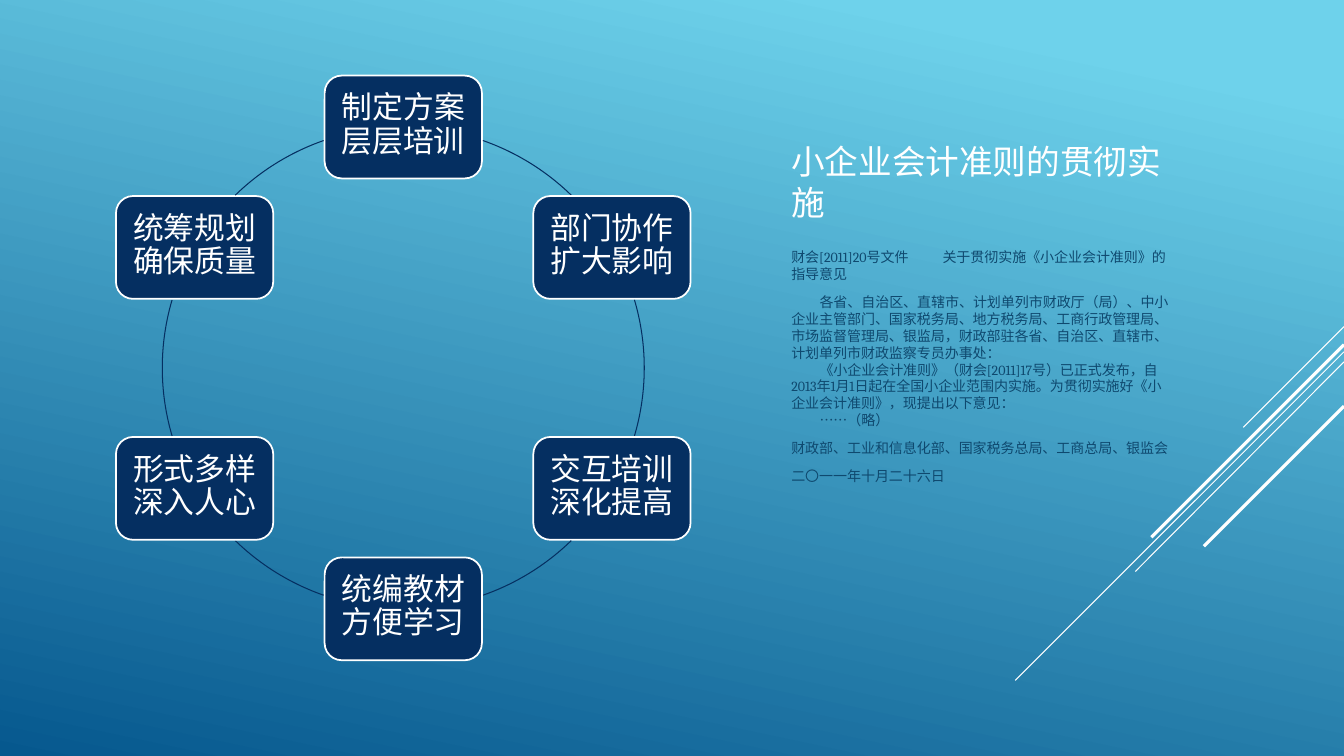
from math import cos, radians, sin

from lxml import etree
from pptx import Presentation
from pptx.dml.color import RGBColor
from pptx.enum.lang import MSO_LANGUAGE_ID
from pptx.enum.shapes import MSO_CONNECTOR, MSO_SHAPE
from pptx.enum.text import MSO_ANCHOR, PP_ALIGN
from pptx.oxml.ns import qn
from pptx.util import Inches, Pt


class Theme:
    white = RGBColor.from_string("FFFFFF")
    navy = RGBColor.from_string("052F61")
    body_blue = RGBColor.from_string("0F496F")
    sky = RGBColor.from_string("6ED2EB")
    deep = RGBColor.from_string("06588E")
    title = {"name": "Calibri", "size": Pt(24)}
    step = {"name": "League Spartan", "size": Pt(22)}
    body = {"name": "Cambria", "size": Pt(10)}


def write(para, text, style, color, **layout):
    for name, value in layout.items():
        setattr(para, name, value)
    span = para.add_run()
    span.text = text
    for name, value in style.items():
        setattr(span.font, name, value)
    span.font.language_id = MSO_LANGUAGE_ID.SIMPLIFIED_CHINESE
    span.font.color.rgb = color


def add_text_frame(left, top, width, height, anchor):
    frame = page.shapes.add_textbox(
        Inches(left), Inches(top), Inches(width), Inches(height)).text_frame
    frame.word_wrap = True
    frame.vertical_anchor = anchor
    return frame


deck = Presentation()
deck.slide_width, deck.slide_height = Inches(13.33), Inches(7.5)
page = deck.slides.add_slide(deck.slide_layouts[6])

# Background
backdrop = page.background.fill
backdrop.gradient()
backdrop.gradient_angle = 258
for stop, (position, color) in zip(
        backdrop.gradient_stops, [(0.1, Theme.sky), (1, Theme.deep)]):
    stop.position = position
    stop.color.rgb = color

# Diagonal streaks from the right edge: start height, end point, weight
streaks = [
    (3.24, 12.33, 4.24, 0.75),
    (3.49, 10.07, 6.75, 0.75),
    (3.59, 11.26, 5.67, 0.75),
    (3.42, 11.42, 5.33, 2.25),
    (4.03, 11.94, 5.42, 2.25),
]
for start_y, end_x, end_y, weight in streaks:
    streak = page.shapes.add_connector(
        MSO_CONNECTOR.STRAIGHT, Inches(13.33), Inches(start_y), Inches(end_x), Inches(end_y))
    streak.line.color.rgb = Theme.white
    streak.line.width = Pt(weight)
    etree.SubElement(streak._element.spPr, qn("a:effectLst"))

# Cycle of six steps, clockwise from the top
center_x, center_y, radius = 4, 3.65, 2.39
box_width, box_height = 1.56, 1.02
box_margins = {"left": 0.08, "right": 0.08, "top": 0.09, "bottom": 0.12}
steps = ["制定方案 层层培训", "部门协作 扩大影响", "交互培训 深化提高",
         "统编教材 方便学习", "形式多样 深入人心", "统筹规划 确保质量"]
arcs = [(-70.7, -45.8), (-16.4, 16.4), (45.8, 70.7),
        (109.3, 134.2), (163.6, 196.4), (225.8, 250.7)]
for index, (label, arc_angles) in enumerate(zip(steps, arcs)):
    angle = radians(60 * index - 90)
    box = page.shapes.add_shape(
        MSO_SHAPE.ROUNDED_RECTANGLE,
        Inches(center_x + radius * cos(angle) - box_width / 2),
        Inches(center_y + radius * sin(angle) - box_height / 2),
        Inches(box_width), Inches(box_height))
    box.shadow.inherit = False
    box.fill.solid()
    box.fill.fore_color.rgb = Theme.navy
    box.line.color.rgb = Theme.white
    box.line.width = Pt(1.25)
    frame = box.text_frame
    frame.word_wrap = True
    frame.vertical_anchor = MSO_ANCHOR.MIDDLE
    for side, margin in box_margins.items():
        setattr(frame, f"margin_{side}", Inches(margin))
    write(frame.paragraphs[0], label, Theme.step, Theme.white,
          alignment=PP_ALIGN.CENTER, line_spacing=0.9)

    arc = page.shapes.add_shape(
        MSO_SHAPE.ARC, Inches(center_x - radius), Inches(center_y - radius),
        Inches(2 * radius), Inches(2 * radius))
    arc.shadow.inherit = False
    arc.fill.background()
    arc.line.color.rgb = Theme.navy
    arc.line.width = Pt(0.75)
    for end, degrees in enumerate(arc_angles):
        arc.adjustments[end] = degrees % 360 * 0.6  # 60000 units per degree

# Title
frame = add_text_frame(7.75, 0.75, 4, 1.5, MSO_ANCHOR.BOTTOM)
write(frame.paragraphs[0], "小企业会计准则的贯彻实施", Theme.title, Theme.white)

# Document text: wording, first-line indent, space before and after in points
passages = [
    ("财会[2011]20号文件\t关于贯彻实施《小企业会计准则》的指导意见", 0, 0, 6),
    ("各省、自治区、直辖市、计划单列市财政厅（局）、中小企业主管部门、国家税务局、"
     "地方税务局、工商行政管理局、市场监督管理局、银监局，财政部驻各省、自治区、"
     "直辖市、计划单列市财政监察专员办事处：", 0.28, 2, 0),
    ("《小企业会计准则》（财会[2011]17号）已正式发布，自2013年1月1日起在全国小企业"
     "范围内实施。为贯彻实施好《小企业会计准则》，现提出以下意见：", 0.28, 0, 0),
    ("……（略）", 0.28, 0, 6),
    ("财政部、工业和信息化部、国家税务总局、工商总局、银监会", 0, 2, 6),
    ("二〇一一年十月二十六日", 0, 2, 6),
]
frame = add_text_frame(7.75, 2.42, 4, 2.5, MSO_ANCHOR.TOP)
for index, (text, indent, before, after) in enumerate(passages):
    para = frame.add_paragraph() if index else frame.paragraphs[0]
    properties = para._p.get_or_add_pPr()
    properties.set("indent", str(Inches(indent)))
    if "\t" in text:
        tabs = etree.SubElement(properties, qn("a:tabLst"))
        etree.SubElement(tabs, qn("a:tab"), pos=str(Inches(1.5)), algn="l")
    write(para, text, Theme.body, Theme.body_blue,
          space_before=Pt(before), space_after=Pt(after))

deck.save("out.pptx")
